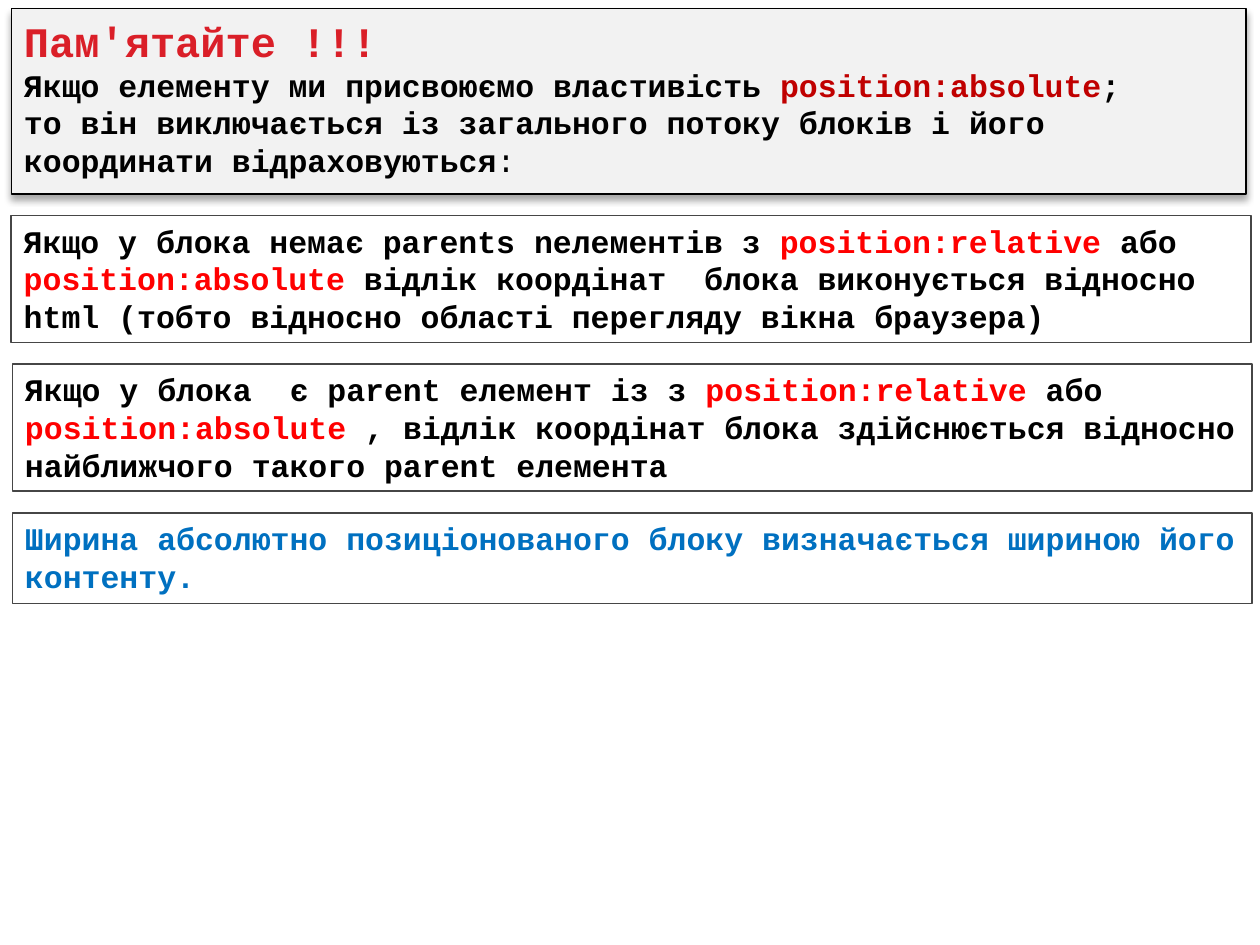
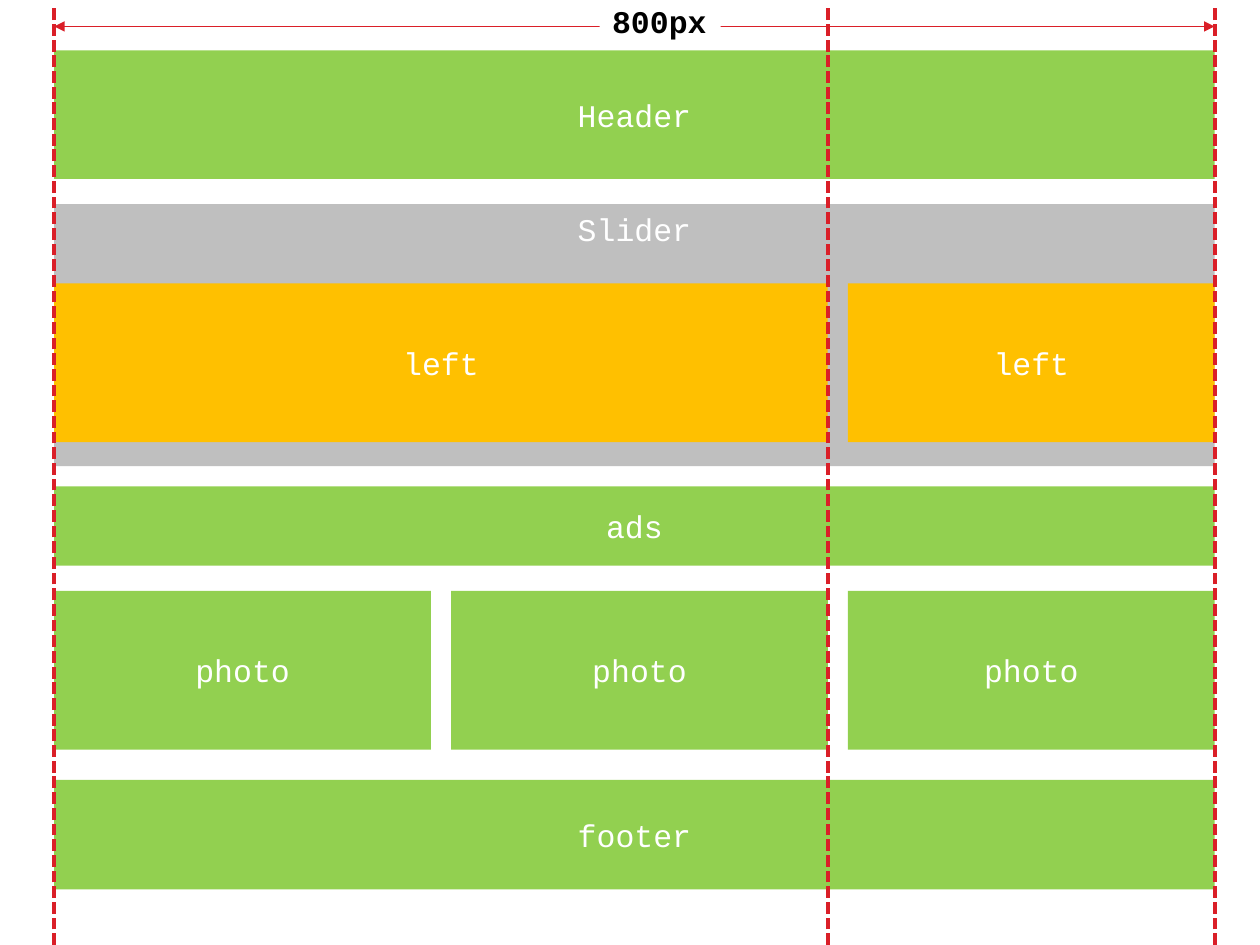
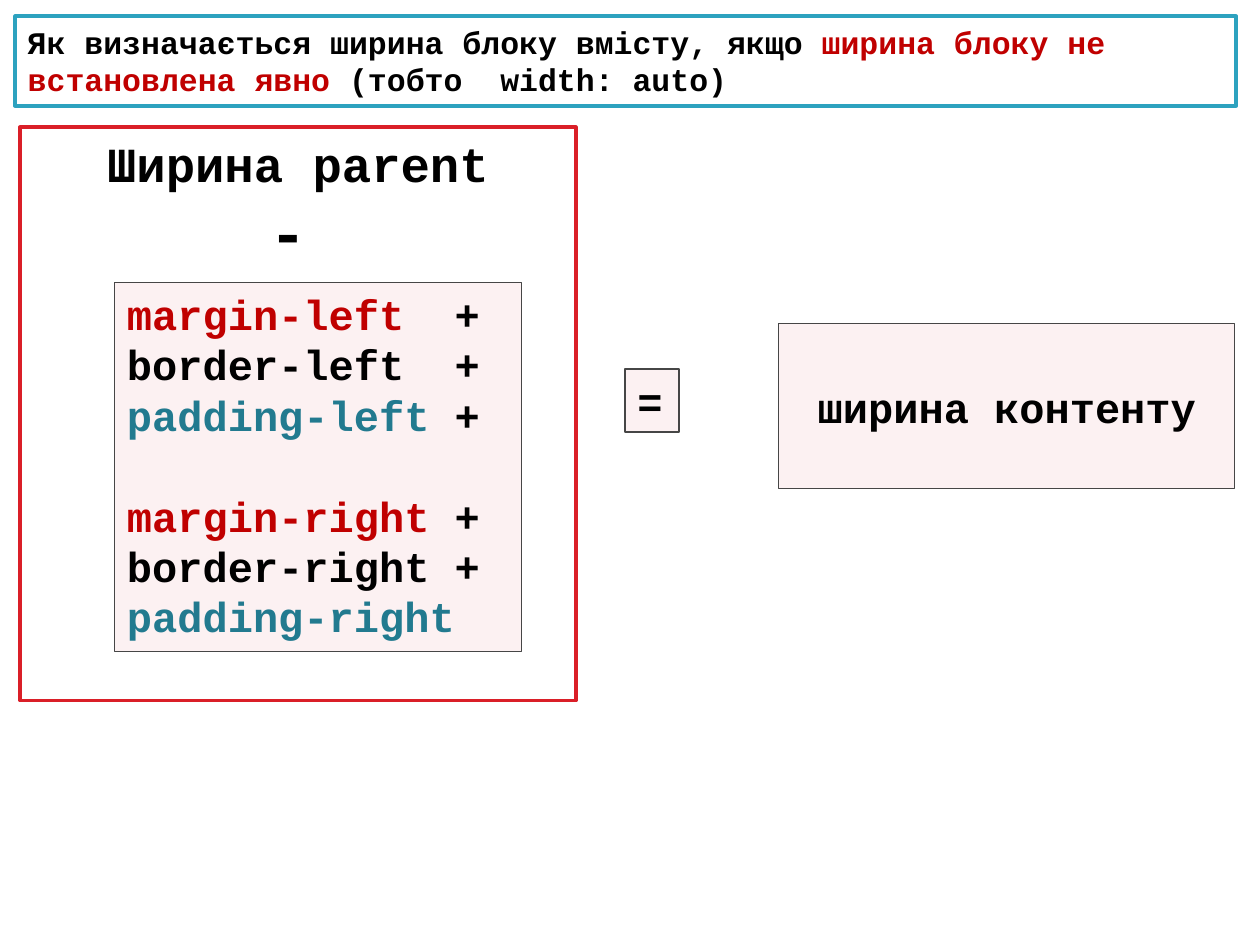
"""Build three slides on CSS absolute positioning, page layout and block width."""
from dataclasses import dataclass
from typing import NamedTuple, Optional

from lxml.etree import SubElement
from pptx import Presentation
from pptx.dml.color import RGBColor
from pptx.enum.dml import MSO_LINE
from pptx.enum.shapes import MSO_CONNECTOR, MSO_SHAPE
from pptx.enum.text import MSO_ANCHOR, MSO_AUTO_SIZE, PP_ALIGN
from pptx.oxml.ns import qn
from pptx.util import Inches, Pt


@dataclass(frozen=True)
class Theme:
    font: str = "Courier New"
    black: str = "000000"
    white: str = "FFFFFF"
    crimson: str = "DA1F28"
    dark_red: str = "C00000"
    red: str = "FF0000"
    blue: str = "0070C0"
    teal: str = "2DA2BF"
    dark_teal: str = "227A8F"
    green: str = "92D050"
    amber: str = "FFC000"
    silver: str = "BFBFBF"
    pale: str = "F2F2F2"
    border: str = "464646"
    text: int = 18
    large: int = 24
    heading: int = 28
    sign: int = 36
    thin: float = 0.75
    frame: float = 1
    thick: float = 2.25


T = Theme()


class Run(NamedTuple):
    text: str
    color: str = T.black
    size: Optional[int] = None
    bold: Optional[bool] = None


class Para(NamedTuple):
    runs: list
    size: int = T.text
    bold: bool = True
    before: float = 0
    tab: float = 0


RELATIVE = Run("position:relative ", T.red)
ABSOLUTE = Run("position:absolute ", T.red)

REMINDER = [
    Para([Run("Пам'ятайте !!!", T.crimson)], T.large),
    Para([Run("Якщо елементу ми присвоюємо властивість "),
          Run("position:absolute", T.dark_red), Run(";")]),
    Para([Run("то він виключається із загального потоку блоків і його "
              "координати відраховуються"), Run(":", bold=False)]),
]
RULES = [
    (0.09, 1.01, [Run("Якщо у блока немає parents nелементів з "), RELATIVE,
                  Run("або "), ABSOLUTE,
                  Run("відлік коордінат  блока виконується відносно html "
                      "(тобто відносно області перегляду вікна браузера)")]),
    (0.1, 1.01, [Run("Якщо у блока  є parent елемент із з "), RELATIVE,
                 Run("або "), ABSOLUTE,
                 Run(", відлік коордінат блока здійснюється відносно "
                     "найближчого такого parent елемента")]),
    (0.1, 0.72, [Run("Ширина абсолютно позиціонованого блоку визначається "
                     "шириною його контенту.", T.blue)]),
]
RULE_GAP = 0.17

LAYOUT_LEFT, LAYOUT_RIGHT = 0.43, 9.64
COLUMN_PITCH, COLUMN_GAP = 3.15, 0.16
LAYOUT_BLOCKS = [
    ("Header", 0, 3, 0.4, 1.02, T.green),
    ("Slider", 0, 3, 1.62, 2.08, T.silver),
    ("ads", 0, 3, 3.86, 0.63, T.green),
    ("footer", 0, 3, 6.19, 0.87, T.green),
    *[("photo", column, 1, 4.69, 1.26, T.green) for column in range(3)],
    ("left", 0, 2, 2.25, 1.26, T.amber),
    ("left", 2, 1, 2.25, 1.26, T.amber),
]

QUESTION = [Para([
    Run("Як визначається ширина блоку вмісту, якщо "),
    Run("ширина блоку не встановлена явно ", T.dark_red),
    Run("(тобто  width: auto)"),
])]
PARENT_WIDTH = [
    Para([Run("Ширина parent")], T.heading),
    Para([Run("-"), Run(" ", size=T.text)], T.sign),
]
PLUS_TAB, SIDE_GAP = 2.6, 28.8
SUBTRACTED = [
    ("margin-left", T.dark_red, "+", 0),
    ("border-left", T.black, "+", 0),
    ("padding-left", T.dark_teal, "+", 0),
    ("margin-right", T.dark_red, "+", SIDE_GAP),
    ("border-right", T.black, "+", 0),
    ("padding-right", T.dark_teal, "", 0),
]


def rgb(color):
    return RGBColor.from_string(color)


def write(shape, paras, align=PP_ALIGN.LEFT, anchor=MSO_ANCHOR.TOP, wrap=True):
    frame = shape.text_frame
    frame.auto_size = MSO_AUTO_SIZE.NONE
    frame.word_wrap = wrap
    frame.vertical_anchor = anchor
    for index, para in enumerate(paras):
        paragraph = frame.add_paragraph() if index else frame.paragraphs[0]
        paragraph.alignment = align
        if para.before:
            paragraph.space_before = Pt(para.before)
        if para.tab:
            stops = SubElement(paragraph._p.get_or_add_pPr(), qn("a:tabLst"))
            SubElement(stops, qn("a:tab"), pos=str(Inches(para.tab)), algn="l")
        paragraph.font.name = T.font
        paragraph.font.size = Pt(para.size)
        paragraph.font.bold = para.bold
        for part in para.runs:
            run = paragraph.add_run()
            run.text = part.text
            run.font.color.rgb = rgb(part.color)
            if part.size:
                run.font.size = Pt(part.size)
            if part.bold is not None:
                run.font.bold = part.bold


def style(shape, fill=None, line=None, width=T.thin, alpha=None):
    shape.shadow.inherit = False
    if fill:
        shape.fill.solid()
        shape.fill.fore_color.rgb = rgb(fill)
        if alpha:
            color = shape._element.spPr.find(".//" + qn("a:srgbClr"))
            SubElement(color, qn("a:alpha"), val=str(alpha * 1000))
    else:
        shape.fill.background()
    if line:
        shape.line.color.rgb = rgb(line)
        shape.line.width = Pt(width)
    else:
        shape.line.fill.background()


def add_box(slide, area, paras, fill=None, line=None, width=T.thin,
            alpha=None, **text):
    box = slide.shapes.add_shape(MSO_SHAPE.RECTANGLE, *map(Inches, area))
    style(box, fill, line, width, alpha)
    write(box, paras, **text)


def add_title(slide, area, paras, fill, line, width):
    title = slide.shapes.title
    title.left, title.top, title.width, title.height = map(Inches, area)
    style(title, fill, line, width)
    write(title, paras)
    return title


def drop_shadow(shape):
    effects = shape._element.spPr.find(qn("a:effectLst"))
    shadow = SubElement(effects, qn("a:outerShdw"), blurRad=str(Pt(4)),
                        dist=str(Pt(3)), dir="5400000", rotWithShape="0")
    color = SubElement(shadow, qn("a:srgbClr"), val=T.black)
    SubElement(color, qn("a:alpha"), val="35000")


def add_line(slide, start, end, width, dashed=False, arrows=False):
    line = slide.shapes.add_connector(
        MSO_CONNECTOR.STRAIGHT, *map(Inches, (*start, *end)))
    line.line.color.rgb = rgb(T.crimson)
    line.line.width = Pt(width)
    if dashed:
        line.line.dash_style = MSO_LINE.SQUARE_DOT
    if arrows:
        for end_name in ("a:headEnd", "a:tailEnd"):
            SubElement(line.line._get_or_add_ln(), qn(end_name), type="triangle")
    SubElement(line._element.spPr, qn("a:effectLst"))


def build_rules(slide):
    top, height = 0.07, 1.47
    drop_shadow(add_title(slide, (0.09, top, 9.8, height), REMINDER,
                          T.pale, T.black, T.thin))
    top += height + RULE_GAP
    for left, height, runs in RULES:
        add_box(slide, (left, top, 9.84, height), [Para(runs)],
                T.white, T.border, T.frame)
        top += height + RULE_GAP


def build_layout(slide):
    for label, column, span, top, height, fill in LAYOUT_BLOCKS:
        left = LAYOUT_LEFT + column * COLUMN_PITCH
        right = min(left + span * COLUMN_PITCH - COLUMN_GAP, LAYOUT_RIGHT)
        add_box(slide, (left, top, right - left, height),
                [Para([Run(label, T.white)], bold=False)], fill,
                align=PP_ALIGN.CENTER,
                anchor=MSO_ANCHOR.TOP if label == "Slider" else MSO_ANCHOR.MIDDLE)
    main_right = LAYOUT_LEFT + 2 * COLUMN_PITCH - COLUMN_GAP
    for guide in (main_right, LAYOUT_LEFT, LAYOUT_RIGHT):
        add_line(slide, (guide, 7.5), (guide, 0.05), T.thick, dashed=True)
    add_line(slide, (LAYOUT_LEFT, 0.21), (LAYOUT_RIGHT, 0.21), T.thin, arrows=True)
    add_box(slide, (4.76, -0.03, 0.96, 0.4), [Para([Run("800px")])],
            T.white, wrap=False)


def build_width(slide):
    add_title(slide, (0.12, 0.13, 9.69, 0.71), QUESTION,
              T.white, T.teal, T.thick)
    add_box(slide, (0.16, 1.01, 4.41, 4.55), PARENT_WIDTH, line=T.crimson,
            width=T.thick, align=PP_ALIGN.CENTER)
    tint = dict(fill=T.crimson, line=T.border, alpha=6)
    terms = [
        Para([Run(name, color)] + ([Run("\t" + plus)] if plus else []),
             T.large, before=before, tab=PLUS_TAB)
        for name, color, plus, before in SUBTRACTED
    ]
    add_box(slide, (0.91, 2.24, 3.23, 2.93), terms, **tint)
    add_box(slide, (4.96, 2.93, 0.43, 0.5), [Para([Run("=")], T.large), ], **tint)
    add_box(slide, (6.18, 2.57, 3.62, 1.31),
            [Para([Run("ширина контенту")], T.large)],
            align=PP_ALIGN.CENTER, anchor=MSO_ANCHOR.MIDDLE, **tint)


def main():
    deck = Presentation()
    deck.slide_width, deck.slide_height = Inches(10), Inches(7.5)
    title_only, blank = deck.slide_layouts[5], deck.slide_layouts[6]
    for layout, build in ((title_only, build_rules), (blank, build_layout),
                          (title_only, build_width)):
        build(deck.slides.add_slide(layout))
    deck.save("out.pptx")


if __name__ == "__main__":
    main()
